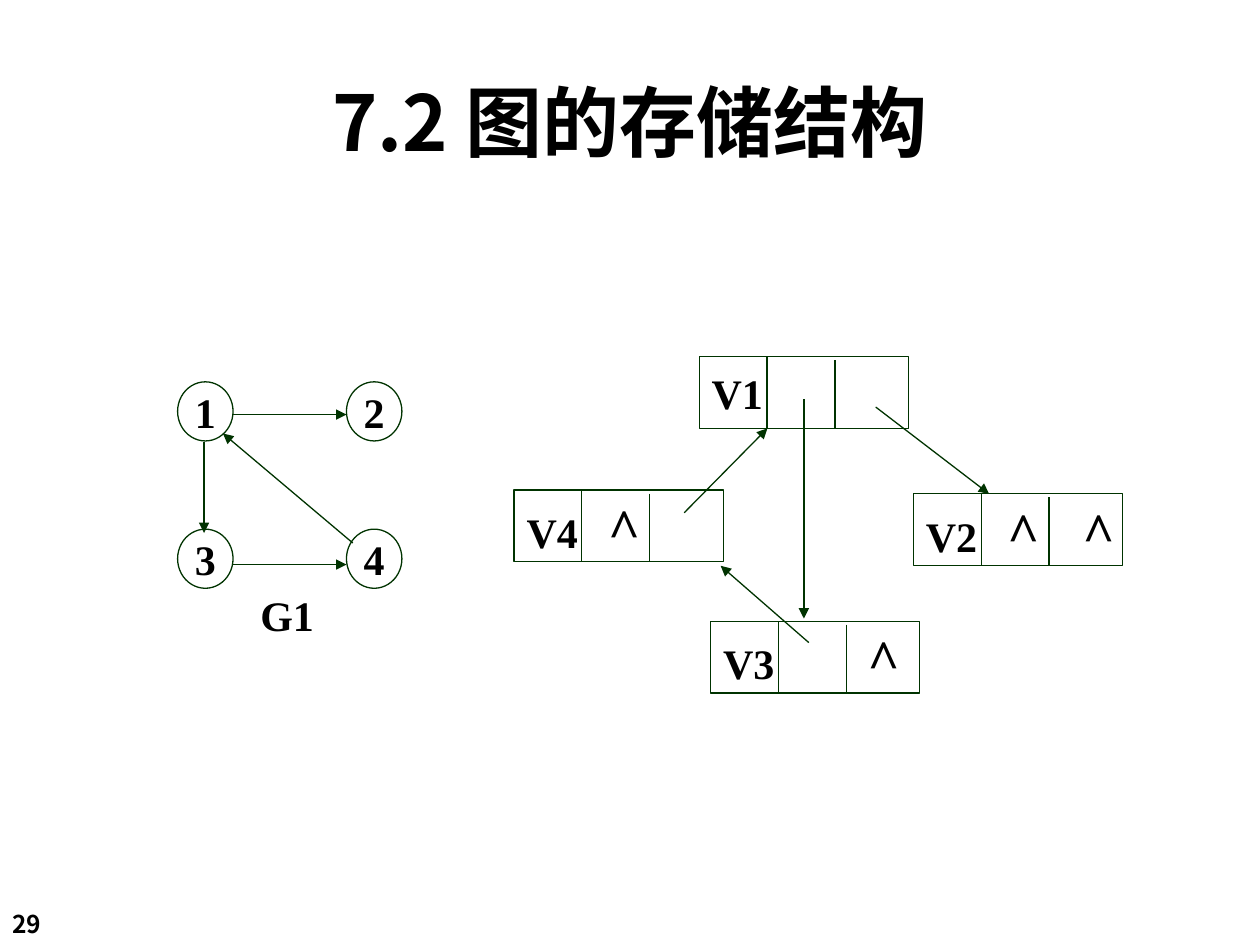
from dataclasses import dataclass

from lxml import etree
from pptx import Presentation
from pptx.dml.color import RGBColor
from pptx.enum.shapes import MSO_CONNECTOR, MSO_SHAPE
from pptx.enum.text import MSO_ANCHOR, PP_ALIGN
from pptx.oxml.ns import qn
from pptx.util import Pt

STRAIGHT = MSO_CONNECTOR.STRAIGHT
OVAL, RECT = MSO_SHAPE.OVAL, MSO_SHAPE.RECTANGLE
LEFT, CENTER = PP_ALIGN.LEFT, PP_ALIGN.CENTER
TOP, MIDDLE = MSO_ANCHOR.TOP, MSO_ANCHOR.MIDDLE


@dataclass(frozen=True)
class Theme:
    ink: RGBColor = RGBColor(0, 0, 0)
    line: RGBColor = RGBColor(0x00, 0x33, 0x00)
    line_width: float = 0.75
    heading_font: str = "Noto Sans CJK SC"
    label_font: str = "Times New Roman"
    title_size: int = 44
    label_size: int = 24
    null_size: int = 32
    number_size: int = 14


THEME = Theme()


def write_text(shape, text, *, size=THEME.label_size, font=THEME.label_font,
               align=CENTER, anchor=MIDDLE, wrap=False, tabs=(),
               null_size=THEME.null_size):
    """Write one bold paragraph; null marks (^) take their own size."""
    frame = shape.text_frame
    frame.word_wrap = wrap
    frame.vertical_anchor = anchor
    para = frame.paragraphs[0]
    if tabs:
        tab_list = etree.SubElement(para._p.get_or_add_pPr(), qn("a:tabLst"))
        for position in tabs:
            etree.SubElement(tab_list, qn("a:tab"), pos=str(Pt(position)), algn="l")
    para.alignment = align
    label, *nulls = text.partition("\t")
    for piece, piece_size in ((label, size), ("".join(nulls), null_size)):
        if not piece:
            continue
        span = para.add_run()
        span.text = piece
        span.font.size = Pt(piece_size)
        span.font.bold = True
        span.font.name = font
        span.font.color.rgb = THEME.ink
        etree.SubElement(span.font._element, qn("a:ea"), typeface=font)


def add_outline(page, kind, box):
    shape = page.shapes.add_shape(kind, *map(Pt, box))
    shape.shadow.inherit = False
    shape.fill.background()
    shape.line.color.rgb = THEME.line
    shape.line.width = Pt(THEME.line_width)
    return shape


def add_line(page, origin, start, end, arrow=False):
    """Draw a line between two points given relative to the origin."""
    points = [Pt(origin[axis] + point[axis]) for point in (start, end) for axis in (0, 1)]
    line = page.shapes.add_connector(STRAIGHT, *points)
    line.line.color.rgb = THEME.line
    line.line.width = Pt(THEME.line_width)
    if arrow:
        etree.SubElement(line.line._get_or_add_ln(), qn("a:tailEnd"), type="triangle")
    etree.SubElement(line._element.spPr, qn("a:effectLst"))


def add_title(page, box):
    title = page.shapes.title
    title.left, title.top, title.width, title.height = map(Pt, box)
    write_text(title, "7.2 图的存储结构", size=THEME.title_size,
               font=THEME.heading_font, wrap=True)


def add_page_number(page, box):
    number = page.shapes.add_textbox(*map(Pt, box))
    write_text(number, "29", size=THEME.number_size, font=THEME.heading_font,
               align=LEFT, anchor=TOP, wrap=True)


def add_caption(page, box, text):
    """Centred label that uses the full width of its box."""
    caption = page.shapes.add_textbox(*map(Pt, box))
    caption.text_frame.margin_left = caption.text_frame.margin_right = 0
    write_text(caption, text, wrap=True)


def add_graph(page, box):
    """Directed graph: four vertices on the corners of the box."""
    left, top, width, height = box
    node_width, node_height = 31.7, 33.8
    for index in range(4):
        row, column = divmod(index, 2)
        node = add_outline(page, OVAL, (left + column * (width - node_width),
                                        top + row * (height - node_height),
                                        node_width, node_height))
        write_text(node, str(index + 1))

    edges = [
        ((31.5, 18.7), (96.5, 18.7)),    # 1 to 2
        ((31.5, 104.4), (96.5, 104.4)),  # 3 to 4
        ((15.1, 34.5), (15.1, 86.4)),    # 1 to 3
        ((100.1, 92.1), (25.9, 29.5)),   # 4 to 1
    ]
    for start, end in edges:
        add_line(page, (left, top), start, end, arrow=True)

    add_caption(page, (left + 40.3, top + height - 2.8, 44.6, 36), "G1")


def add_record(page, box, text):
    """One storage node: a vertex name and two pointer fields."""
    left, top, width, height = box
    record = add_outline(page, RECT, box)
    record.text_frame.margin_right = 0
    write_text(record, text, align=LEFT, wrap=True, tabs=(46.5, 82.5, 89.5))
    for offset, inset in ((38.7, 0), (77.5, 2)):
        add_line(page, (left, top), (offset, inset), (offset, height))


def add_linked_storage(page, box):
    left, top, width, height = box
    record_width, record_height = 119.5, 41
    records = [
        ("V1", 105.8, 0),
        ("V2\t^\t\t^", width - record_width, 78.4),
        ("V4\t^", 0, 76.3),
        ("V3\t\t^", 112.3, height - record_height),
    ]
    for text, x, y in records:
        add_record(page, (left + x, top + y, record_width, record_height), text)

    pointers = [
        ((165.6, 24.4), (165.6, 149.7)),  # V1 to V3
        ((206.6, 28.8), (271.4, 78.4)),   # V1 to V2
        ((97.2, 89.2), (144.7, 41)),      # V4 to V1
        ((168.4, 163.4), (118, 119.5)),   # V3 to V4
    ]
    for start, end in pointers:
        add_line(page, (left, top), start, end, arrow=True)


def main():
    deck = Presentation()
    deck.slide_width, deck.slide_height = Pt(720), Pt(540)
    page = deck.slides.add_slide(deck.slide_layouts[5])
    add_page_number(page, (0, 516, 60, 24.5))
    add_title(page, (30, 18, 660, 102))
    add_graph(page, (101.5, 218.2, 128.2, 118))
    add_linked_storage(page, (293.8, 203.8, 347.7, 192.2))
    deck.save("out.pptx")


if __name__ == "__main__":
    main()
